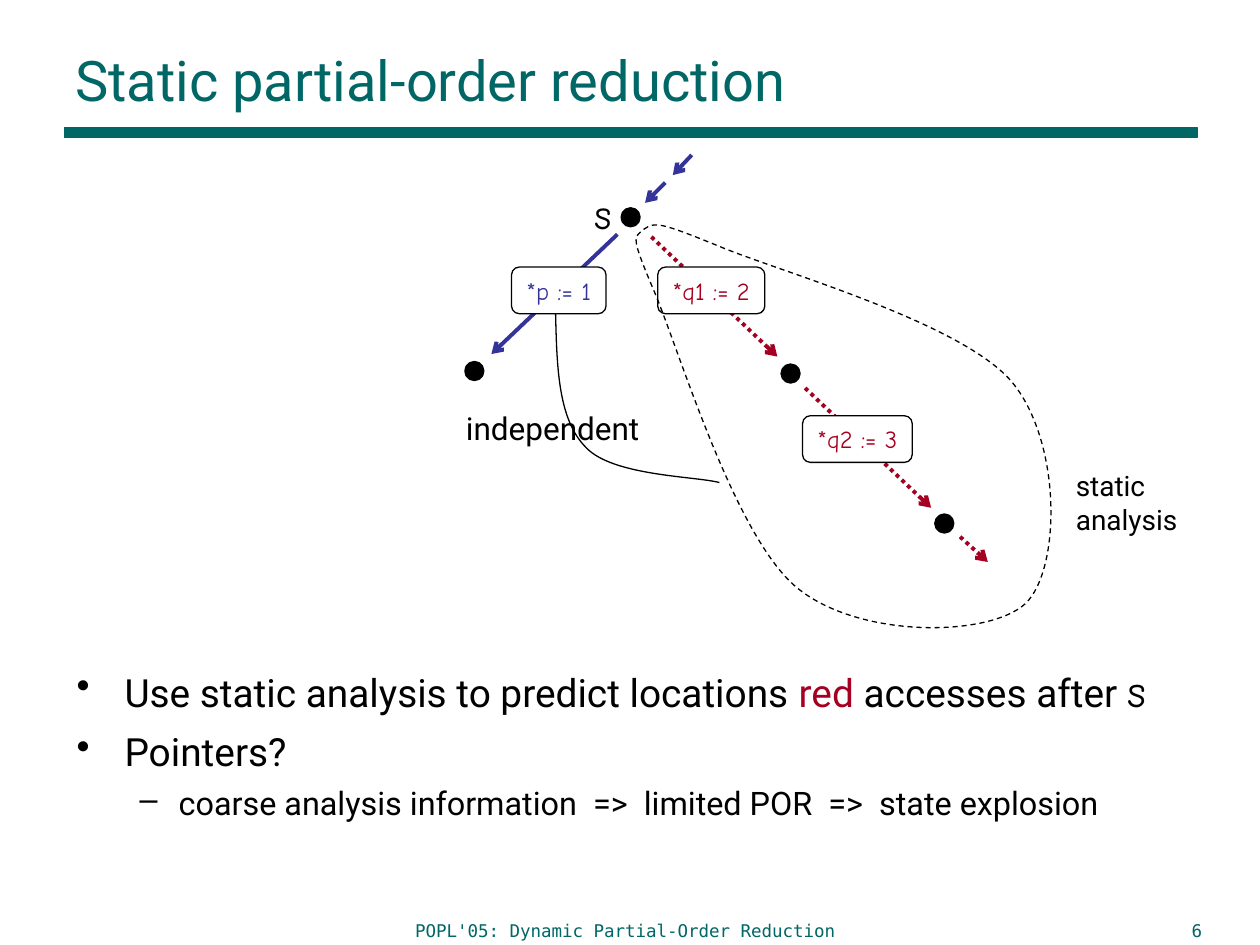
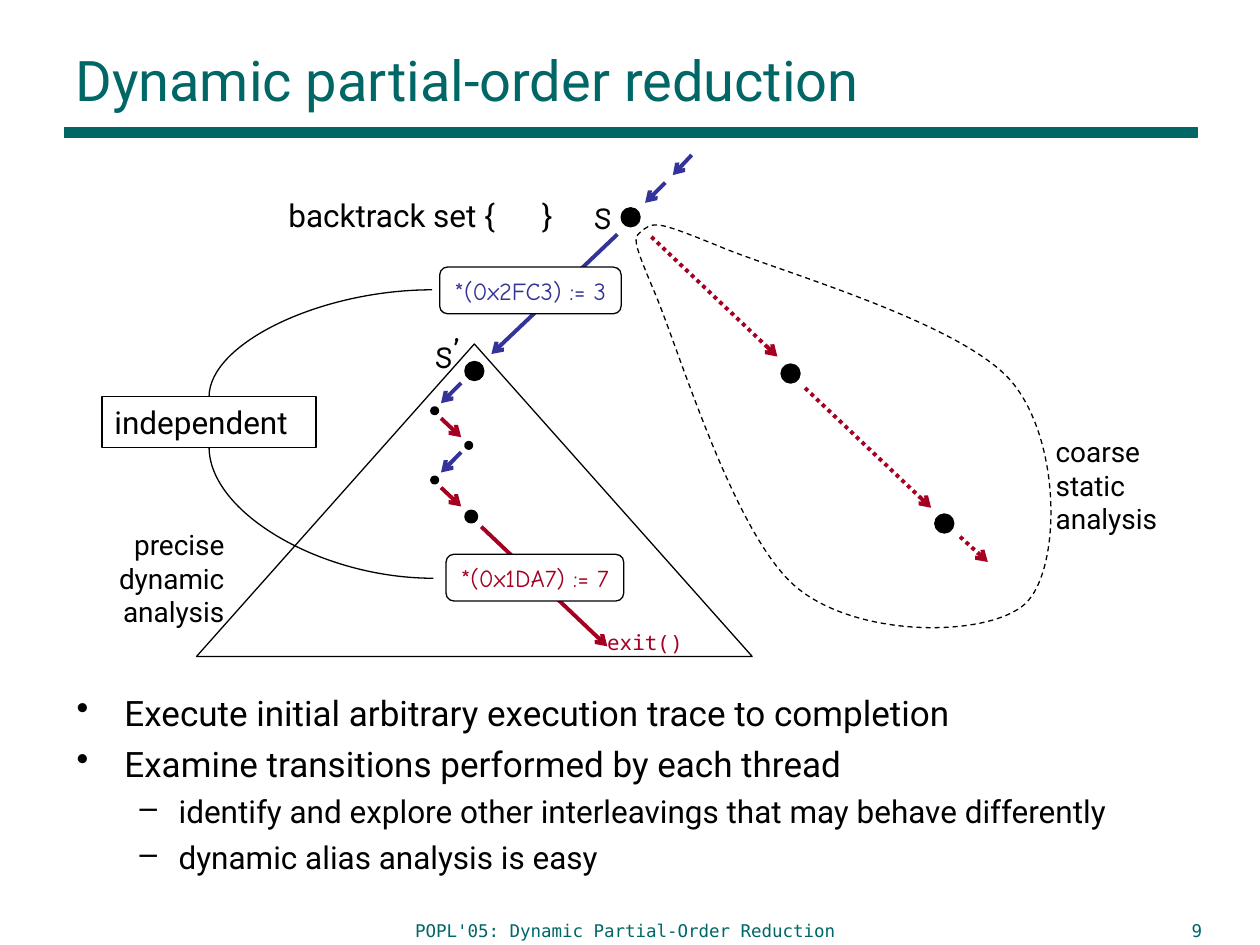
"""Build two slides on static and dynamic partial-order reduction."""
from lxml import etree
from pptx import Presentation
from pptx.dml.color import RGBColor
from pptx.enum.dml import MSO_LINE
from pptx.enum.shapes import MSO_CONNECTOR, MSO_SHAPE
from pptx.enum.text import MSO_ANCHOR, MSO_AUTO_SIZE, PP_ALIGN
from pptx.oxml.ns import qn
from pptx.util import Inches, Pt

RECTANGLE, ROUNDED = MSO_SHAPE.RECTANGLE, MSO_SHAPE.ROUNDED_RECTANGLE
TRIANGLE, CIRCLE = MSO_SHAPE.ISOSCELES_TRIANGLE, MSO_SHAPE.FLOWCHART_CONNECTOR
STRAIGHT, CURVED = MSO_CONNECTOR.STRAIGHT, MSO_CONNECTOR.CURVE
DOTTED, DASHED = MSO_LINE.ROUND_DOT, MSO_LINE.DASH
LEFT, CENTER, RIGHT = PP_ALIGN.LEFT, PP_ALIGN.CENTER, PP_ALIGN.RIGHT
TOP, MIDDLE = MSO_ANCHOR.TOP, MSO_ANCHOR.MIDDLE
FIT_SHAPE = MSO_AUTO_SIZE.SHAPE_TO_FIT_TEXT

COLORS = {"teal": "006666", "black": "000000", "white": "FFFFFF",
          "blue": "333399", "red": "A50021"}
SANS, HAND = "Roboto", "Comic Neue"
FOOTER_FONT, CODE_FONT = "DejaVu Sans Mono", "Noto Sans Mono"
THIN, THICK = 0.75, 2.25
COLUMNS, ROWS = 100, 75
BULLETS = [("•", 0.38, -0.38), ("–", 0.81, -0.31)]

ENVELOPE = [(51.1, 18.2), (52, 17.6), (52.3, 17.6), (57.2, 19.6),
            (62, 21.6), (76.3, 25.6), (80.3, 30.3),
            (84.3, 35.1), (84.2, 45.2), (81.4, 47.9),
            (78.5, 50.6), (68.1, 50.7), (63.2, 46.6),
            (58.3, 42.5), (54, 28.1), (52, 23.3),
            (50, 18.6), (50.3, 18.9), (51.1, 18.2)]
INDEPENDENCE = [(44.1, 24.9), (44.2, 29.1), (44.3, 33.3), (46.5, 35.5),
                (48.6, 37.8), (55.3, 37.8), (57.1, 38.3)]


def color(name):
    """Return a named colour."""
    return RGBColor.from_string(COLORS[name])


class Sketch:
    """Hold the deck, its style and the current page."""

    def __init__(self):
        """Start a deck with its grid."""
        self.deck = Presentation()
        self.deck.slide_width, self.deck.slide_height = Inches(10), Inches(7.5)
        self.column = self.deck.slide_width / COLUMNS
        self.row = self.deck.slide_height / ROWS
        self.page = None

    def place(self, *lengths):
        """Turn alternating columns and rows into slide lengths."""
        units = (self.column, self.row) * 2
        return [round(length * unit) for length, unit in zip(lengths, units)]

    def start_page(self, title, number):
        """Add a page with its band, title and footer."""
        self.page = self.deck.slides.add_slide(self.deck.slide_layouts[6])
        self.shape(RECTANGLE, (5.1, 10.1, 89.9, 0.8), "teal", "teal")
        self.text((5, 1.3, 90, 10), [title], 32, tint="teal", anchor=MIDDLE, wrap=True)
        for area, words, align in [
                ((0, 72.5, 99.2, 5.2), "POPL'05: Dynamic Partial-Order Reduction", CENTER),
                ((73.1, 72.5, 23.3, 5.2), number, RIGHT)]:
            self.text(area, [words], 10, FOOTER_FONT, "teal", align, wrap=True)

    def outline(self, item, tint="black", width=THIN, dash=None):
        """Set the line of a shape or connector."""
        item.line.color.rgb = color(tint)
        item.line.width = Pt(width)
        if dash is not None:
            item.line.dash_style = dash

    def shape(self, kind, area, fill=None, line="black", width=THIN):
        """Add a preset shape."""
        shape = self.page.shapes.add_shape(kind, *self.place(*area))
        shape.shadow.inherit = False
        if fill:
            shape.fill.solid()
            shape.fill.fore_color.rgb = color(fill)
        else:
            shape.fill.background()
        self.outline(shape, line, width)
        return shape

    def dot(self, left, top, size=1.3):
        """Add a state as a black dot."""
        self.shape(CIRCLE, (left, top, size, size), "black", width=THICK)

    def span(self, para, words, size, font=SANS, tint="black", gap=0):
        """Add one run, with extra space after each letter if asked."""
        span = para.add_run()
        span.text = words
        span.font.size, span.font.name = Pt(size), font
        span.font.color.rgb = color(tint)
        if gap:
            span.font._element.set("spc", str(round(gap * 100)))

    def spans(self, para, parts, size, font=SANS, tint="black"):
        """Add runs given as words or as words with their own style."""
        for part in [parts] if isinstance(parts, str) else parts:
            words, style = (part, {}) if isinstance(part, str) else part
            self.span(para, words, **{"size": size, "font": font, "tint": tint, **style})

    def fill_text(self, box, lines, size, font=SANS, tint="black", align=LEFT,
                  anchor=TOP, wrap=False):
        """Fill a box with one paragraph a line."""
        frame = box.text_frame
        frame.word_wrap, frame.vertical_anchor = wrap, anchor
        if not wrap:
            frame.auto_size = FIT_SHAPE
        for index, line in enumerate(lines):
            para = frame.add_paragraph() if index else frame.paragraphs[0]
            para.alignment = align
            self.spans(para, line, size, font, tint)

    def text(self, area, lines, size, *style, **options):
        """Add a text box."""
        box = self.page.shapes.add_textbox(*self.place(*area))
        self.fill_text(box, lines, size, *style, **options)

    def label(self, area, words, tint):
        """Add a rounded label holding a statement."""
        box = self.shape(ROUNDED, area, "white")
        self.fill_text(box, [words], 14, HAND, tint, CENTER, MIDDLE)

    def bullets(self, area, items):
        """Add a bulleted list of level, size, space before and runs."""
        frame = self.page.shapes.add_textbox(*self.place(*area)).text_frame
        frame.word_wrap = True
        for index, (level, size, space, parts) in enumerate(items):
            para = frame.add_paragraph() if index else frame.paragraphs[0]
            mark, margin, indent = BULLETS[level]
            para.level = level
            properties = para._p.get_or_add_pPr()
            properties.set("marL", str(Inches(margin)))
            properties.set("indent", str(Inches(indent)))
            tint = etree.SubElement(properties, qn("a:buClr"))
            etree.SubElement(tint, qn("a:srgbClr"), val=COLORS["black"])
            etree.SubElement(properties, qn("a:buChar"), char=mark)
            para.space_before = Pt(space if index else 0)
            self.spans(para, parts, size)

    def connector(self, kind, start, end, tint="black", width=THIN, dash=None):
        """Add a connector without shadow."""
        line = self.page.shapes.add_connector(kind, *self.place(*start, *end))
        self.outline(line, tint, width, dash)
        etree.SubElement(line._element.spPr, qn("a:effectLst"))
        return line

    def arrow(self, start, end, tint, dash=None):
        """Add a thick transition arrow."""
        line = self.connector(STRAIGHT, start, end, tint, THICK, dash)
        etree.SubElement(line._element.spPr.find(qn("a:ln")), qn("a:tailEnd"), type="arrow")

    def bend(self, start, box, side):
        """Add a quarter curve that ends on a side of a box."""
        left, top, width, height = (box.left, box.top, box.width, box.height)
        end = ((left + width / 2) / self.column, (top + height * side / 2) / self.row)
        line = self.connector(CURVED, start, end)
        line._element.spPr.find(qn("a:prstGeom")).set("prst", "curvedConnector2")
        line.end_connect(box, side)

    def curve(self, points, dash=None, close=False):
        """Add a smooth outline from a start and Bezier triples."""
        start, *rest = [self.place(*point) for point in points]
        builder = self.page.shapes.build_freeform(*start)
        builder.add_line_segments(rest, close=close)
        shape = builder.convert_to_shape()
        corners = list(shape._element.iter(qn("a:lnTo")))
        for first in range(0, len(corners), 3):
            bezier = etree.Element(qn("a:cubicBezTo"))
            corners[first].addprevious(bezier)
            for corner in corners[first:first + 3]:
                bezier.append(corner[0])
                corner.getparent().remove(corner)
        shape.fill.background()
        shape.shadow.inherit = False
        self.outline(shape, dash=dash)

    def execution_tree(self):
        """Draw the states and transitions found on both pages."""
        for left, top in [(49.4, 16.6), (62.1, 29), (37, 28.8), (74.3, 40.9)]:
            self.dot(left, top)
        for start, end in [((54.9, 12.3), (53.4, 13.9)), ((52.8, 14.5), (51.2, 16.1)),
                           ((49, 18.6), (39, 28.1))]:
            self.arrow(start, end, "blue")
        for start, end in [((51.7, 18.8), (61.7, 28.3)), ((63.9, 30.8), (73.9, 40.3)),
                           ((76.2, 42.6), (78.4, 44.6))]:
            self.arrow(start, end, "red", DOTTED)
        self.text((46.2, 14.4, 3.4, 5), ["s"], 24, HAND)


def static_page(sketch):
    """Draw the page on static reduction."""
    sketch.start_page("Static partial-order reduction", "6")
    arrow_gap = (" ", {"gap": 4.6})
    sketch.bullets((5.1, 52.1, 92.9, 19.6), [
        (0, 22.2, 0, ["Use static analysis to predict locations ", ("red", {"tint": "red"}),
                      " accesses after ", ("s", {"size": 25.9, "font": HAND})]),
        (0, 22.2, 6, "Pointers?"),
        (1, 18.5, 5, ["coarse analysis information", arrow_gap, "=>", arrow_gap,
                      "limited POR", arrow_gap, "=>", arrow_gap, "state explosion"])])
    sketch.execution_tree()
    sketch.label((40.6, 21.2, 7.5, 3.7), "*p := 1", "blue")
    sketch.label((52.2, 21.2, 8.5, 3.7), "*q1 := 2", "red")
    sketch.label((63.7, 33, 8.7, 3.7), "*q2 := 3", "red")
    sketch.curve(INDEPENDENCE)
    sketch.text((36, 32, 17, 4), ["independent"], 18)
    sketch.curve(ENVELOPE, DASHED, close=True)
    sketch.text((84.4, 36.7, 10.2, 6.3), ["static", "analysis"], 16)


def dynamic_page(sketch):
    """Draw the page on dynamic reduction."""
    sketch.start_page("Dynamic partial-order reduction", "9")
    sketch.bullets((5.1, 54.4, 91.7, 19.7), [
        (0, 20, 0, "Execute initial arbitrary execution trace to completion"),
        (0, 20, 5, "Examine transitions performed by each thread"),
        (1, 18, 4.5, "identify and explore other interleavings that may behave differently"),
        (1, 18, 4.5, "dynamic alias analysis is easy")])
    sketch.execution_tree()
    sketch.label((34.9, 21.2, 14.4, 3.7), "*(0x2FC3) := 3", "blue")
    independent = sketch.shape(RECTANGLE, (8.1, 31.5, 17, 4))
    sketch.fill_text(independent, ["independent"], 18)
    sketch.bend((34.3, 23), independent, 0)
    sketch.bend((34.4, 45.9), independent, 2)
    for step in range(3):
        sketch.dot(37 if step % 2 else 34.3, 32.4 + 2.75 * step, 0.4)
    sketch.dot(37, 40.6, 0.8)
    for lap in range(2):
        drop = 5.5 * lap
        sketch.arrow((36.6, 30.4 + drop), (35, 32 + drop), "blue")
        sketch.arrow((35, 33.2 + drop), (36.6, 34.7 + drop), "red")
    sketch.arrow((38.2, 41.8), (48.2, 51.3), "red")
    sketch.shape(TRIANGLE, (15.6, 27.3, 44.1, 24.8))
    sketch.curve(ENVELOPE, DASHED, close=True)
    sketch.text((82.8, 34, 10.2, 9), ["coarse", "static", "analysis"], 16)
    sketch.text((8, 41.4, 10.8, 9), ["precise", "dynamic", "analysis"], 16, align=RIGHT)
    sketch.label((35.4, 44, 14.1, 3.7), "*(0x1DA7) := 7", "red")
    sketch.text((33.6, 25.4, 4, 5), ["s’"], 24, HAND)
    sketch.text((21.9, 15.1, 23.9, 4),
                [["backtrack set {", (" ", {"gap": 22.3}), "}"]], 18)
    sketch.text((47.2, 49.5, 8, 3), ["exit()"], 12, CODE_FONT, "red")


def main():
    """Build and save the deck."""
    sketch = Sketch()
    static_page(sketch)
    dynamic_page(sketch)
    sketch.deck.save("out.pptx")


if __name__ == "__main__":
    main()
